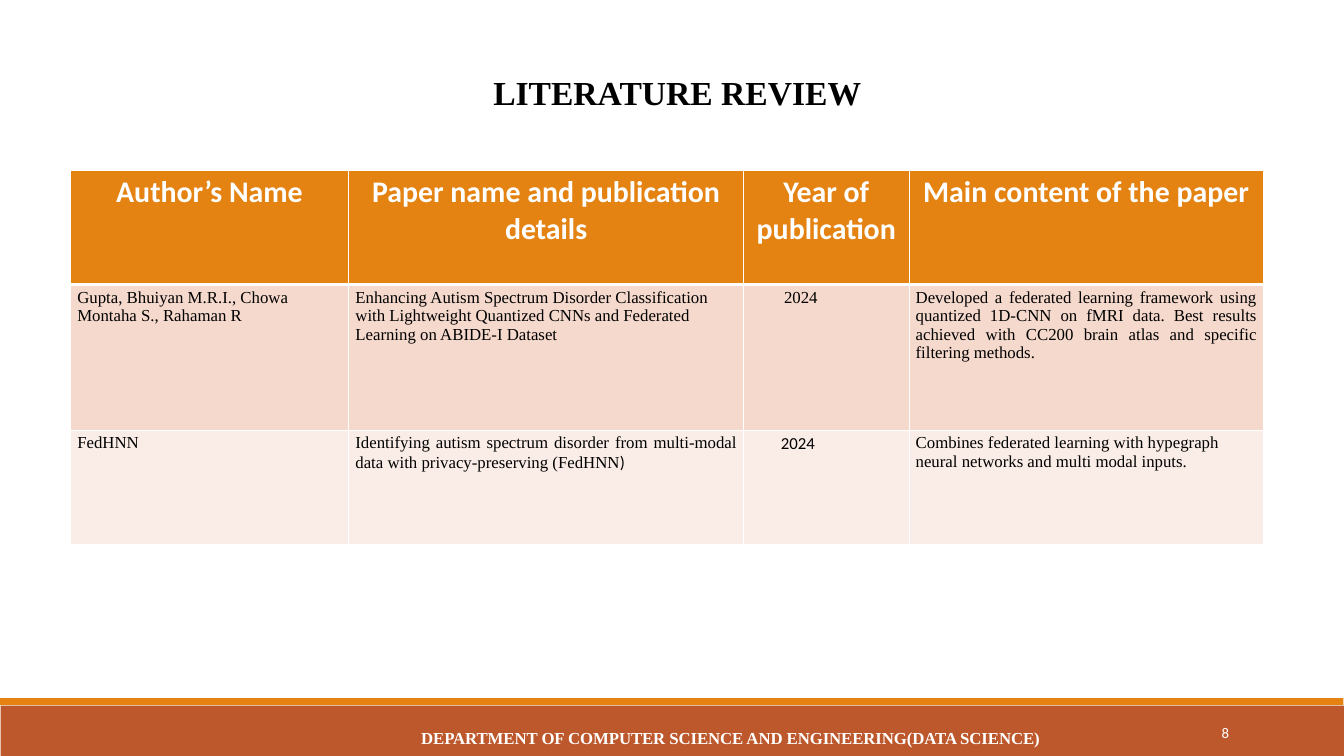
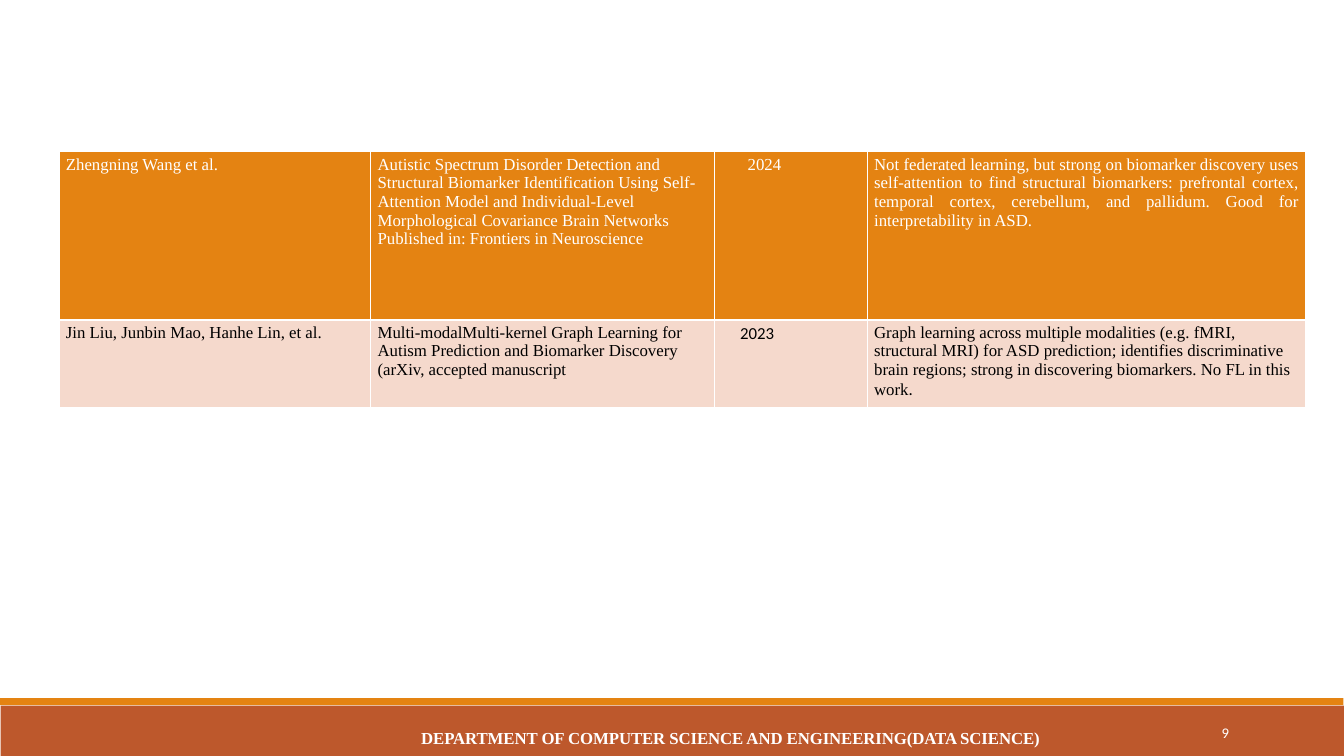
from dataclasses import dataclass

from lxml import etree
from pptx import Presentation
from pptx.dml.color import RGBColor
from pptx.enum.shapes import MSO_SHAPE
from pptx.enum.text import MSO_ANCHOR, PP_ALIGN
from pptx.oxml.ns import qn
from pptx.util import Pt

RECTANGLE = MSO_SHAPE.RECTANGLE
TOP, MIDDLE = MSO_ANCHOR.TOP, MSO_ANCHOR.MIDDLE
LEFT, CENTER = PP_ALIGN.LEFT, PP_ALIGN.CENTER
RIGHT, JUSTIFY = PP_ALIGN.RIGHT, PP_ALIGN.JUSTIFY


@dataclass(frozen=True)
class Theme:
    serif: str = "Times New Roman"
    sans: str = "Calibri"
    orange: str = "E48312"
    brown: str = "BD582C"
    rose: str = "F5D9CC"
    blush: str = "FAEDE7"
    white: str = "FFFFFF"
    black: str = "000000"
    title_size: float = 36
    header_size: float = 32
    body_size: float = 18
    number_size: float = 15.8
    border: float = 1
    header_border: float = 3


THEME = Theme()
DEPARTMENT = "DEPARTMENT OF COMPUTER SCIENCE AND ENGINEERING(DATA SCIENCE)"

# Character formats
BODY = dict(name=THEME.serif, size=THEME.body_size, bold=False, color=THEME.black)
LIGHT_BODY = {**BODY, "color": THEME.white}
TITLE = {**BODY, "size": THEME.title_size, "bold": True}
FOOTER = {**LIGHT_BODY, "bold": True}
NUMBER = {**LIGHT_BODY, "name": THEME.sans, "size": THEME.number_size}
HEADER = {**FOOTER, "name": THEME.sans, "size": THEME.header_size}


@dataclass(frozen=True)
class Entry:
    """Text of one cell, with an optional ending in the sans font."""
    text: str
    align: PP_ALIGN = LEFT
    indent: float = 0
    sans: bool = False
    ending: str = ""


class Deck:
    def __init__(self, theme):
        self.theme = theme
        self.presentation = Presentation()
        self.presentation.slide_width = Pt(1440)
        self.presentation.slide_height = Pt(810)
        self.slide = None

    def add_slide(self, number):
        layout = self.presentation.slide_layouts[6]
        self.slide = self.presentation.slides.add_slide(layout)
        # Footer bands, page number and department
        self.band(0.7, 756, 54, self.theme.brown)
        self.band(0, 748, 7.5, self.theme.orange)
        self.text(str(number), (1169.3, 763.2, 154.8, 43.2), NUMBER,
                  anchor=MIDDLE, alignment=RIGHT)
        self.text(DEPARTMENT, (270.7, 763.2, 1023.8, 43.2), FOOTER,
                  anchor=MIDDLE, tracking=-0.1, alignment=CENTER,
                  line_spacing=1.5)

    def band(self, left, top, height, color):
        shape = self.slide.shapes.add_shape(
            RECTANGLE, Pt(left), Pt(top), Pt(1439.3), Pt(height))
        shape.shadow.inherit = False
        shape.fill.solid()
        shape.fill.fore_color.rgb = RGBColor.from_string(color)
        shape.line.fill.background()

    def title(self, text):
        self.text(text, (43.9, 46, 1327.7, 64.8), TITLE, indent=36,
                  margin_top=9, alignment=CENTER, line_spacing=1.5)

    def text(self, text, box, style, anchor=TOP, indent=0, margin_top=3.6,
             tracking=0, **paragraph_format):
        shape = self.slide.shapes.add_textbox(*map(Pt, box))
        frame = shape.text_frame
        frame.word_wrap = True
        frame.vertical_anchor = anchor
        frame.margin_top = Pt(margin_top)
        paragraph = frame.paragraphs[0]
        self.format_paragraph(paragraph, indent, **paragraph_format)
        self.run(paragraph, text, style, tracking)

    def format_paragraph(self, paragraph, indent=0, **values):
        if indent:
            paragraph._p.get_or_add_pPr().set("marL", str(Pt(indent)))
        for name, value in values.items():
            setattr(paragraph, name, value)

    def run(self, paragraph, text, style, tracking=0):
        run = paragraph.add_run()
        run.text = text
        values = {**style, "size": Pt(style["size"])}
        run.font.color.rgb = RGBColor.from_string(values.pop("color"))
        for name, value in values.items():
            setattr(run.font, name, value)
        if tracking:
            run._r.get_or_add_rPr().set("spc", str(round(tracking * 100)))

    def table(self, left, top, widths, heights, rows, looks):
        """Each look is the character style and fill of one row."""
        table = self.slide.shapes.add_table(
            len(rows), len(widths), Pt(left), Pt(top),
            Pt(sum(widths)), Pt(sum(heights))).table
        table.first_row = table.horz_banding = False
        for column, width in zip(table.columns, widths):
            column.width = Pt(width)
        for index, (entries, (style, fill)) in enumerate(zip(rows, looks)):
            table.rows[index].height = Pt(heights[index])
            for cell, entry in zip(table.rows[index].cells, entries):
                self.borders(cell, index)
                cell.fill.solid()
                cell.fill.fore_color.rgb = RGBColor.from_string(fill)
                self.fill_cell(cell, entry, style)

    def fill_cell(self, cell, entry, style):
        paragraph = cell.text_frame.paragraphs[0]
        self.format_paragraph(paragraph, entry.indent, alignment=entry.align)
        sans_style = {**style, "name": self.theme.sans}
        for index, line in enumerate(entry.text.split("\n")):
            if index:
                paragraph.add_line_break()
            self.run(paragraph, line, sans_style if entry.sans else style)
        if entry.ending:
            self.run(paragraph, entry.ending, sans_style)

    def borders(self, cell, row):
        thin, thick = self.theme.border, self.theme.header_border
        widths = dict(L=thin, R=thin, T=thick if row == 1 else thin,
                      B=thick if row == 0 else thin)
        properties = cell._tc.get_or_add_tcPr()
        for side, width in widths.items():
            line = etree.SubElement(properties, qn(f"a:ln{side}"), w=str(Pt(width)))
            fill = etree.SubElement(line, qn("a:solidFill"))
            etree.SubElement(fill, qn("a:srgbClr"), val=self.theme.white)


def main():
    deck = Deck(THEME)

    # Slide 8: heading and first papers
    deck.add_slide(8)
    deck.title("LITERATURE REVIEW")
    headings = ["Author’s Name", "Paper name and publication details",
                "Year of publication", "Main content of the paper"]
    papers = [
        [Entry(heading, CENTER) for heading in headings],
        [Entry("Gupta, Bhuiyan M.R.I., Chowa Montaha S., Rahaman R"),
         Entry("Enhancing Autism Spectrum Disorder Classification with "
               "Lightweight Quantized CNNs and Federated Learning on "
               "ABIDE-I Dataset"),
         Entry("2024", JUSTIFY, indent=36),
         Entry("Developed a federated learning framework using quantized "
               "1D-CNN on fMRI data. Best results achieved with CC200 brain "
               "atlas and specific filtering methods.", JUSTIFY)],
        [Entry("FedHNN", JUSTIFY),
         Entry("Identifying autism spectrum disorder from multi-modal data "
               "with privacy-preserving (FedHNN", JUSTIFY, ending=")"),
         Entry("2024", JUSTIFY, indent=32.5, sans=True),
         Entry("Combines federated learning with hypegraph neural networks "
               "and multi modal inputs.")],
    ]
    deck.table(75.6, 183, [298, 423.3, 177, 380], [122, 156, 122], papers,
               [(HEADER, THEME.orange), (BODY, THEME.rose), (BODY, THEME.blush)])

    # Slide 9: further papers
    deck.add_slide(9)
    papers = [
        [Entry("Zhengning Wang et al.", JUSTIFY),
         Entry("Autistic Spectrum Disorder Detection and Structural Biomarker "
               "Identification Using Self-Attention Model and "
               "Individual-Level Morphological Covariance Brain Networks\n"
               "Published in: Frontiers in Neuroscience"),
         Entry("2024", JUSTIFY, indent=28.5),
         Entry("Not federated learning, but strong on biomarker discovery uses "
               "self-attention to find structural biomarkers: prefrontal "
               "cortex, temporal cortex, cerebellum, and pallidum. Good for "
               "interpretability in ASD.", JUSTIFY)],
        [Entry("Jin Liu, Junbin Mao, Hanhe Lin, et al.", JUSTIFY),
         Entry("Multi-modalMulti-kernel Graph Learning for Autism Prediction "
               "and Biomarker Discovery (arXiv, accepted manuscript"),
         Entry("2023", JUSTIFY, indent=20.3, sans=True),
         Entry("Graph learning across multiple modalities (e.g. fMRI, "
               "structural MRI) for ASD prediction; identifies discriminative "
               "brain regions; strong in discovering biomarkers. No FL in "
               "this work", ending=".")],
    ]
    deck.table(63.4, 162.7, [334, 368, 164, 469.5], [180, 94], papers,
               [(LIGHT_BODY, THEME.orange), (BODY, THEME.rose)])

    deck.presentation.save("out.pptx")


if __name__ == "__main__":
    main()
